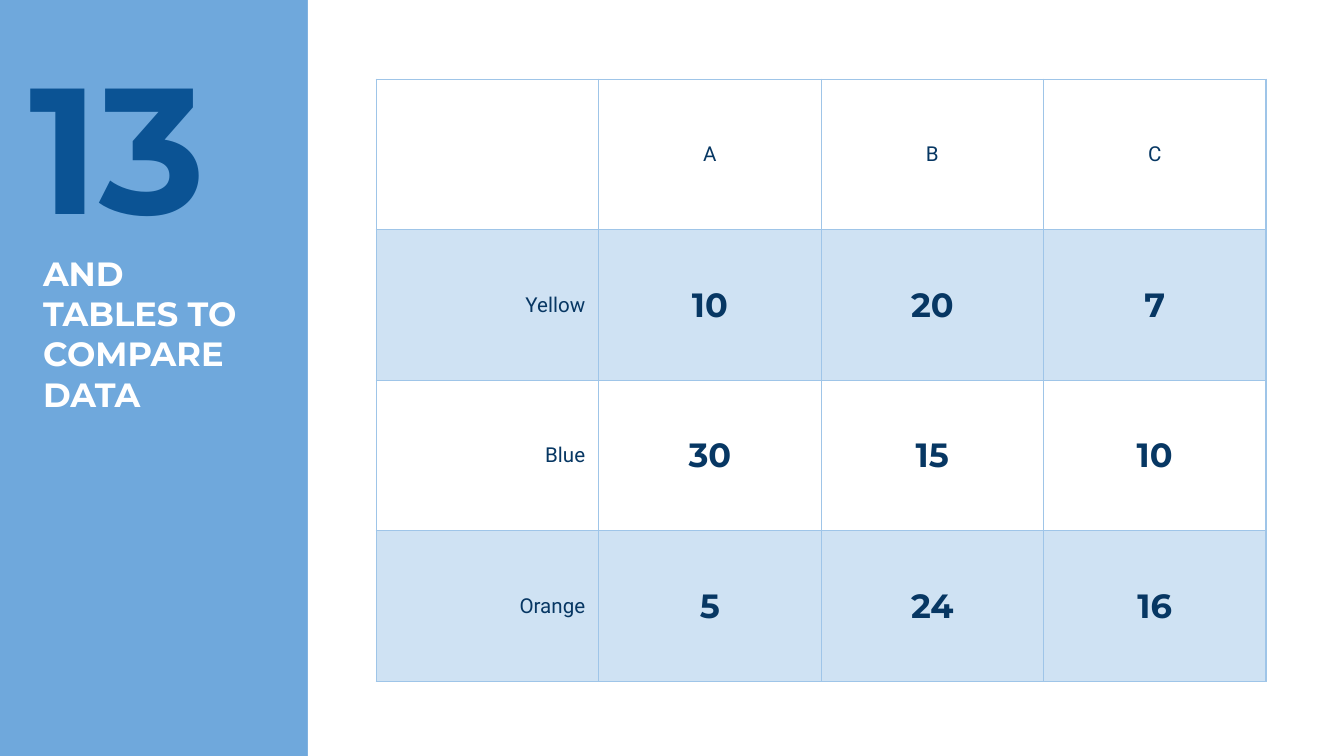
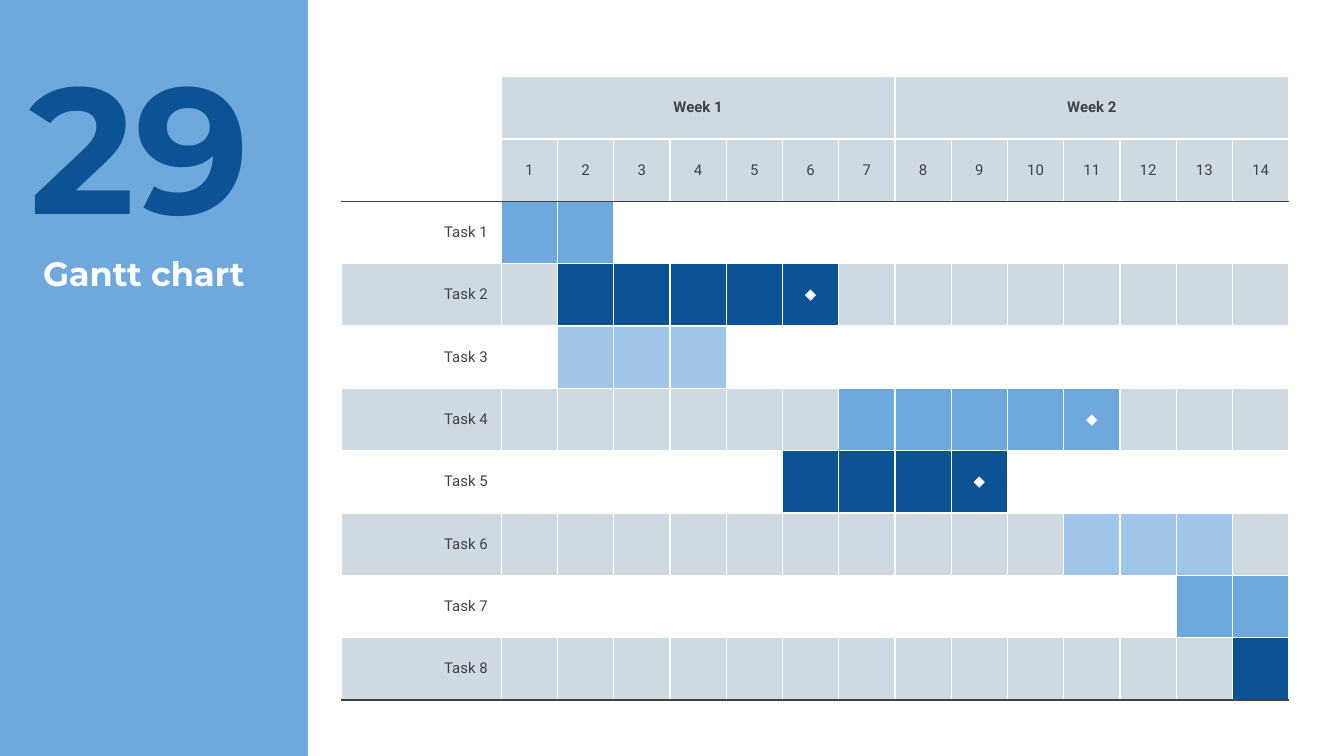
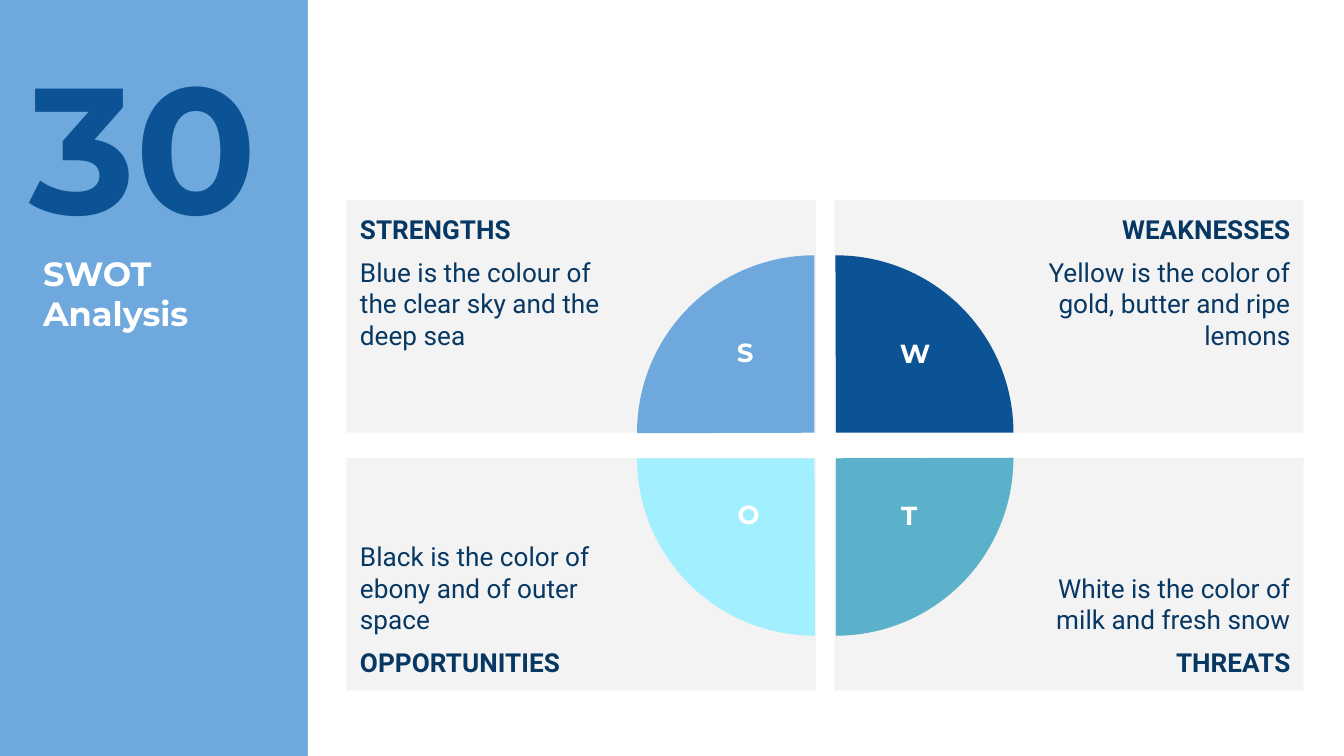
import pptx
import pptx.util
import pptx.dml.color
import pptx.enum.shapes
import pptx.enum.text
import pptx.oxml
import pptx.oxml.ns
from lxml import etree

Inches = pptx.util.Inches
Pt = pptx.util.Pt
RGBColor = pptx.dml.color.RGBColor
MSO_SHAPE = pptx.enum.shapes.MSO_SHAPE
MSO_ANCHOR = pptx.enum.text.MSO_ANCHOR
PP_ALIGN = pptx.enum.text.PP_ALIGN
LEFT, CENTER, RIGHT = PP_ALIGN.LEFT, PP_ALIGN.CENTER, PP_ALIGN.RIGHT

WHITE = RGBColor(0xFF, 0xFF, 0xFF)
SKY = RGBColor(0x6F, 0xA8, 0xDC)
DEEP_BLUE = RGBColor(0x0B, 0x53, 0x94)
NAVY = RGBColor(0x07, 0x37, 0x63)
LIGHT_BLUE = RGBColor(0x9F, 0xC5, 0xE8)
PALE_BLUE = RGBColor(0xCF, 0xE2, 0xF3)
GREY_BLUE = RGBColor(0xCF, 0xD9, 0xE1)
CHARCOAL = RGBColor(0x3F, 0x42, 0x47)
PALE_GREY = RGBColor(0xF3, 0xF3, 0xF3)
TEAL = RGBColor(0x5A, 0xB1, 0xC9)
AQUA = RGBColor(0xA1, 0xEF, 0xFF)
HEADING, BODY = "Montserrat", "Roboto"


def style(p, name, size, color, bold=False, align=LEFT):
    p.alignment = align
    p.font.name = name
    p.font.size = Pt(size)
    p.font.bold = bold
    p.font.color.rgb = color


def format_cell(cell, fill, border, top=None, bottom=None):
    """Set fill and 0.75 pt borders; top and bottom may differ in colour."""
    tc_pr = cell._tc.get_or_add_tcPr()
    sides = (("L", border), ("R", border), ("T", top or border), ("B", bottom or border))
    for side, color in sides:
        ln = etree.SubElement(tc_pr, pptx.oxml.ns.qn("a:ln" + side), w=str(Pt(0.75)))
        solid = etree.SubElement(ln, pptx.oxml.ns.qn("a:solidFill"))
        etree.SubElement(solid, pptx.oxml.ns.qn("a:srgbClr"), val=str(color))
    if fill is None:
        cell.fill.background()
    else:
        cell.fill.solid()
        cell.fill.fore_color.rgb = fill
    cell.vertical_anchor = MSO_ANCHOR.MIDDLE


prs = pptx.Presentation()
prs.slide_width = Inches(10)
prs.slide_height = prs.slide_width * 9 // 16

# Shared layout, title and slide number
layout = prs.slide_layouts[5]
layout.background.fill.solid()
layout.background.fill.fore_color.rgb = SKY

slides = []
for number, title in (("13", "AND TABLES TO COMPARE DATA"),
                      ("29", "Gantt chart"),
                      ("30", "SWOT Analysis")):
    s = prs.slides.add_slide(layout)
    slides.append(s)
    s.shapes.title.left, s.shapes.title.top = Inches(0.22), Inches(1.78)
    s.shapes.title.width, s.shapes.title.height = Inches(1.87), Inches(0.94)
    number_box = s.shapes.add_textbox(Inches(0.12), Inches(0.16), Inches(1.98), Inches(1.37))
    for sp, text, size, color in ((s.shapes.title, title, 18, WHITE),
                                  (number_box, number, 96, DEEP_BLUE)):
        tf = sp.text_frame
        tf.text = text
        tf.word_wrap = True
        tf.auto_size = pptx.enum.text.MSO_AUTO_SIZE.NONE
        tf.vertical_anchor = MSO_ANCHOR.TOP
        tf.margin_left = tf.margin_right = tf.margin_top = tf.margin_bottom = Inches(0.1)
        style(tf.paragraphs[0], HEADING, size, color, bold=True)

# The white panel is made on a slide, then moved to the layout
panel = slides[0].shapes.add_shape(MSO_SHAPE.RECTANGLE, Inches(2.29), 0,
                                   Inches(7.71), prs.slide_height)
panel.shadow.inherit = False
panel.fill.solid()
panel.fill.fore_color.rgb = WHITE
panel.line.fill.background()
layout.shapes.element.append(panel._element)

# Slide 1: comparison table
comparison = [["", "A", "B", "C"],
              ["Yellow", "10", "20", "7"],
              ["Blue", "30", "15", "10"],
              ["Orange", "5", "24", "16"]]
table = slides[0].shapes.add_table(4, 4, Inches(2.8), Inches(0.59), Inches(6.62), Inches(4.48)).table
table.first_row = table.horz_banding = False
for i, row in enumerate(comparison):
    for j, text in enumerate(row):
        cell = table.cell(i, j)
        format_cell(cell, PALE_BLUE if i % 2 else None, LIGHT_BLUE)
        cell.margin_top = cell.margin_bottom = Inches(0.07)
        p = cell.text_frame.paragraphs[0]
        p.text = text
        if i and j:
            style(p, HEADING, 18, NAVY, bold=True, align=CENTER)
        else:
            style(p, BODY, 11, NAVY, align=CENTER if j else RIGHT)

# Slide 2: Gantt chart; first day, last day, colour, milestone at the end
tasks = [(1, 2, SKY, False), (2, 6, DEEP_BLUE, True), (2, 4, LIGHT_BLUE, False),
         (7, 11, SKY, True), (6, 9, DEEP_BLUE, True), (11, 13, LIGHT_BLUE, False),
         (13, 14, SKY, False), (14, 14, DEEP_BLUE, False)]
DAYS = 14
HEADER_ROWS = 2
last_row = HEADER_ROWS + len(tasks) - 1
gantt = slides[1].shapes.add_table(last_row + 1, DAYS + 1, Inches(2.54), Inches(0.57),
                                   Inches(7.05), Inches(4.64)).table
gantt.first_row = gantt.horz_banding = False
gantt.columns[0].width = Inches(1.19)
for day in range(1, DAYS + 1):
    gantt.columns[day].width = int(Inches(5.86) / DAYS)

for i in range(last_row + 1):
    for day in range(DAYS + 1):
        text, color, align = "", CHARCOAL, CENTER
        if i < HEADER_ROWS:
            fill = GREY_BLUE if day else None
            if i == 0 and day in (1, 8):
                text = f"Week {day // 7 + 1}"
            elif i == 1 and day:
                text = str(day)
        else:
            first, last, bar, milestone = tasks[i - HEADER_ROWS]
            fill = GREY_BLUE if i % 2 else None
            if day == 0:
                text, align = f"Task {i - 1}", RIGHT
            elif first <= day <= last:
                fill = bar
                if milestone and day == last:
                    text, color = "◆", WHITE
        cell = gantt.cell(i, day)
        format_cell(cell, fill, WHITE,
                    top=CHARCOAL if i == HEADER_ROWS else None,
                    bottom=CHARCOAL if i in (HEADER_ROWS - 1, last_row) else None)
        p = cell.text_frame.paragraphs[0]
        p.text = text
        style(p, BODY, 8, color, bold=i == 0, align=align)
for first in (1, 8):
    gantt.cell(0, first).merge(gantt.cell(0, first + 6))

# Slide 3: SWOT cards, each a column, a row, a heading and a text
cards = [(0, 0, "STRENGTHS", "Blue is the colour of the clear sky and the deep sea"),
         (1, 0, "WEAKNESSES", "Yellow is the color of gold, butter and ripe lemons"),
         (0, 1, "OPPORTUNITIES", "Black is the color of ebony and of outer space"),
         (1, 1, "THREATS", "White is the color of milk and fresh snow")]
s = slides[2]
for col, row, heading, text in cards:
    sp = s.shapes.add_shape(MSO_SHAPE.RECTANGLE, Inches(2.58 + 3.63 * col),
                            Inches(1.49 + 1.92 * row), Inches(3.49), Inches(1.73))
    sp.shadow.inherit = False
    sp.fill.solid()
    sp.fill.fore_color.rgb = PALE_GREY
    sp.line.fill.background()
    tf = sp.text_frame
    tf.word_wrap = True
    tf.vertical_anchor = MSO_ANCHOR.BOTTOM if row else MSO_ANCHOR.TOP
    tf.margin_top = tf.margin_bottom = Inches(0.1)
    tf.margin_left = Inches(1.5 if col else 0.1)
    tf.margin_right = Inches(0.1 if col else 1.5)
    tf.text = "\n".join((text, heading) if row else (heading, text))
    for p in tf.paragraphs:
        style(p, BODY, 14, NAVY, bold=p.text == heading, align=RIGHT if col else LEFT)
    tf.paragraphs[1].space_before = tf.paragraphs[1].space_after = Pt(6)

# Quarter circles, clockwise from the top left
quarters = [(4.74, 1.9, SKY), (4.9, 1.9, DEEP_BLUE), (4.9, 2.09, TEAL), (4.74, 2.09, AQUA)]
for turn, (x, y, color) in enumerate(quarters):
    sp = s.shapes.add_shape(MSO_SHAPE.PIE, Inches(x), Inches(y), Inches(2.64), Inches(2.64))
    sp.adjustments[0], sp.adjustments[1] = 107.89, 162
    sp.rotation = 90 * turn
    sp.shadow.inherit = False
    sp.fill.solid()
    sp.fill.fore_color.rgb = color
    sp.line.fill.background()

for letter, x, y, width, height in (("S", 5.35, 2.45, 0.39, 0.49), ("W", 6.43, 2.46, 0.76, 0.47),
                                    ("O", 5.31, 3.66, 0.52, 0.49), ("T", 6.56, 3.67, 0.41, 0.47)):
    tf = s.shapes.add_textbox(Inches(x), Inches(y), Inches(width), Inches(height)).text_frame
    tf.word_wrap = True
    tf.text = letter
    style(tf.paragraphs[0], HEADING, 14, WHITE, bold=True, align=CENTER)

prs.save("out.pptx")
